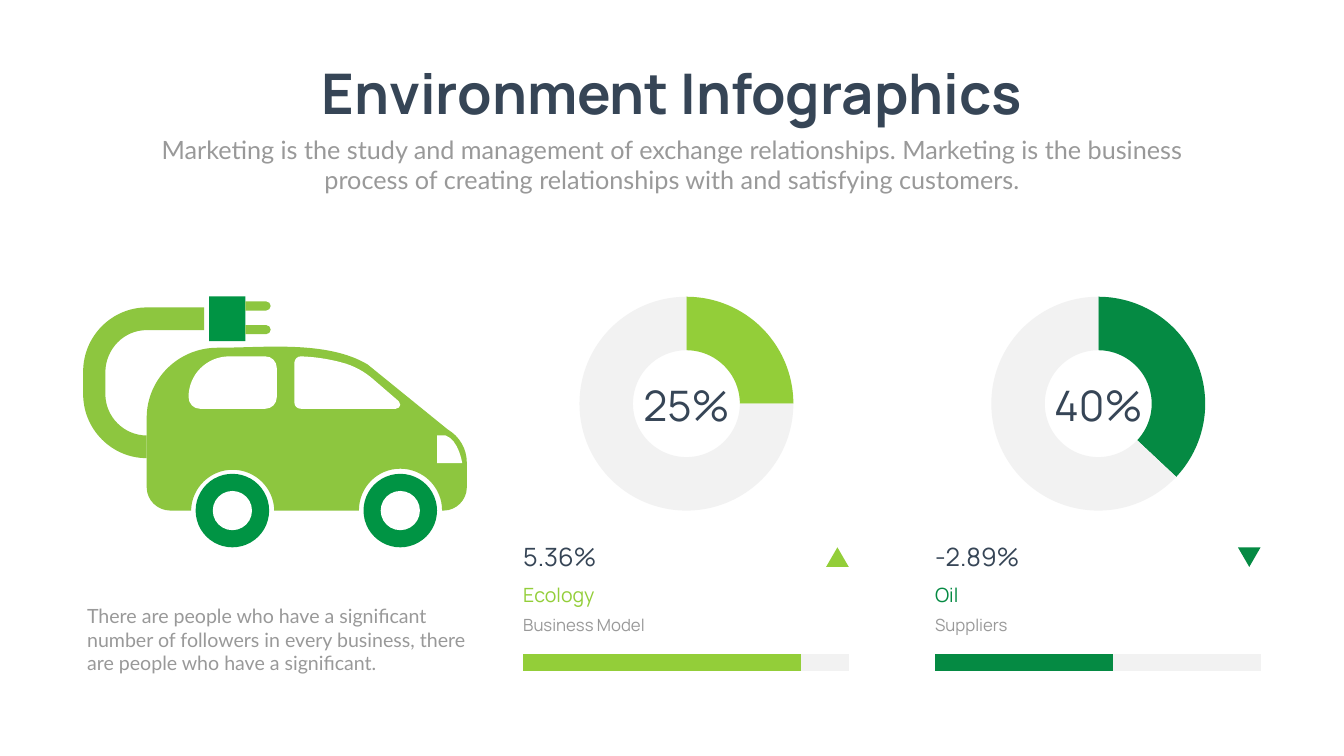
from lxml import etree
from pptx import Presentation
from pptx.chart.data import CategoryChartData
from pptx.dml.color import RGBColor
from pptx.enum.chart import XL_CHART_TYPE as ChartType
from pptx.enum.shapes import MSO_CONNECTOR, MSO_SHAPE as Shape
from pptx.enum.text import MSO_ANCHOR, MSO_AUTO_SIZE, PP_ALIGN as Align
from pptx.oxml.ns import qn
from pptx.util import Pt

NAVY = RGBColor(0x36, 0x45, 0x56)
GREY = RGBColor(0x99, 0x99, 0x99)
TRACK = RGBColor(0xF2, 0xF2, 0xF2)
WHITE = RGBColor(0xFF, 0xFF, 0xFF)
LIME = RGBColor(0x93, 0xCE, 0x39)
GREEN = RGBColor(0x05, 0x8A, 0x43)
CAR_LIME = RGBColor(0x8D, 0xC6, 0x3F)
CAR_GREEN = RGBColor(0x00, 0x94, 0x44)

# Outlines in points from the car's corner: a pair is a line end,
# three pairs are the controls and end of a Bezier curve.
CABLE = [
    (90.7, 231.1), (41, 231.1, 0, 190.1, 0, 139.7), (0, 107.3),
    (0, 56.9, 41, 15.8, 90.7, 15.8), (172.8, 15.8), (172.8, 48.2), (90.7, 48.2),
    (58.3, 48.2, 32.4, 74.9, 31.7, 107.3), (31.7, 139.7),
    (31.7, 172.1, 58.3, 198.7, 90.7, 198.7)]
BODY = [
    (520.6, 190.1), (406.1, 97.2), (347.8, 62.6, 259.2, 73.4, 191.5, 73.4),
    (136.1, 73.4, 90.7, 118.1, 90.7, 173.5), (90.7, 272.9),
    (90.7, 290.9, 105.8, 306, 124.6, 306), (154.1, 306),
    (154.8, 272.9, 182.2, 247, 214.6, 247.7),
    (246.2, 248.4, 272.2, 273.6, 272.9, 306), (393.8, 306),
    (393.8, 272.9, 419.8, 246.2, 452.9, 246.2),
    (486, 246.2, 512.6, 272.9, 512.6, 306), (514.8, 306),
    (532.8, 306, 547.9, 290.9, 547.9, 272.9), (547.9, 237.6),
    (547.9, 218.2, 537.8, 200.2, 520.6, 190.1)]
FRONT_WINDOW = [
    (450.7, 149.8), (414.7, 118.8), (401.8, 107.3, 385.9, 98.6, 368.6, 94.3),
    (349.9, 89.3, 330.5, 86.4, 311, 85.7), (306, 85.7, 302.4, 89.3, 301.7, 94.3),
    (301.7, 151.9), (301.7, 157, 306, 160.6, 311, 160.6), (446.4, 160.6),
    (450, 160.6, 452.9, 157.7, 452.9, 154.8),
    (452.9, 152.6, 452.2, 151.2, 450.7, 149.8)]
REAR_WINDOW = [
    (167, 160.6), (259.9, 160.6), (269.3, 160.6, 276.5, 153.4, 276.5, 144),
    (276.5, 102.2), (276.5, 92.9, 269.3, 85.7, 259.9, 85.7), (208.8, 85.7),
    (176.4, 85.7, 150.5, 111.6, 150.5, 144),
    (150.5, 153.4, 157.7, 160.6, 167, 160.6)]
HEADLIGHT = [
    (505.4, 238.3), (541.4, 238.3), (541.4, 238.3, 536.4, 205.2, 517.7, 198.7),
    (505.4, 198.7)]
PRONG = [
    (0, 0), (29.5, 0), (33, 0, 36, 2.9, 36, 6.5), (36, 10.1, 33, 13, 29.5, 13), (0, 13)]


def paint(shape, color):
    shape.fill.solid()
    shape.fill.fore_color.rgb = color
    shape.line.fill.background()
    shape.shadow.inherit = False


def add_block(slide, kind, left, top, width, height, color):
    block = slide.shapes.add_shape(kind, Pt(left), Pt(top), Pt(width), Pt(height))
    paint(block, color)
    return block


def add_outline(slide, left, top, outline, color):
    ends = [(Pt(left + step[-2]), Pt(top + step[-1])) for step in outline]
    builder = slide.shapes.build_freeform(*ends[0])
    builder.add_line_segments(ends[1:], close=True)
    shape = builder.convert_to_shape()
    # Bend the sides that have control points
    min_x = min(step[-2] for step in outline)
    min_y = min(step[-1] for step in outline)
    sides = list(shape._element.iter(qn("a:lnTo")))
    for side, step in zip(sides, outline[1:]):
        if len(step) == 6:
            side.tag = qn("a:cubicBezTo")
            for i in (0, 2):
                control = etree.Element(qn("a:pt"), x=str(Pt(step[i] - min_x)),
                                        y=str(Pt(step[i + 1] - min_y)))
                side.insert(i // 2, control)
    paint(shape, color)


def fill_text(holder, text, font_name, size, color, align=Align.LEFT, spacing=None, bold=False):
    frame = holder.text_frame
    frame.word_wrap = True
    frame.auto_size = MSO_AUTO_SIZE.NONE
    frame.vertical_anchor = MSO_ANCHOR.TOP
    frame.text = text
    paragraph = frame.paragraphs[0]
    paragraph.alignment = align
    if spacing:
        paragraph.line_spacing = Pt(spacing)
    font = paragraph.runs[0].font
    font.name, font.size, font.bold = font_name, Pt(size), bold
    font.color.rgb = color


def add_label(slide, left, top, width, height, *style, **options):
    label = slide.shapes.add_textbox(Pt(left), Pt(top), Pt(width), Pt(height))
    fill_text(label, *style, **options)


def add_bar(slide, left, y, length, color):
    bar = slide.shapes.add_connector(
        MSO_CONNECTOR.STRAIGHT, Pt(left), Pt(y), Pt(left + length), Pt(y))
    bar.line.width = Pt(25)
    bar.line.color.rgb = color
    etree.SubElement(bar._element.spPr, qn("a:effectLst"))


def add_header(slide, left, top, width):
    title = slide.shapes.title
    title.left, title.top, title.width, title.height = (
        Pt(left + 200), Pt(top), Pt(width - 400), Pt(104.4))
    fill_text(title, "Environment Infographics", "Manrope", 80, NAVY, Align.CENTER, bold=True)
    add_label(slide, left, top + 107.3, width, 94.3,
              "Marketing is the study and management of exchange relationships. Marketing is "
              "the business process of creating relationships with and satisfying customers.",
              "Lato", 36, GREY, Align.CENTER)


def add_car(slide, left, top):
    # Body, windows and headlight
    for outline, color in ((CABLE, CAR_LIME), (BODY, CAR_LIME), (FRONT_WINDOW, WHITE),
                           (REAR_WINDOW, WHITE), (HEADLIGHT, WHITE)):
        add_outline(slide, left, top, outline, color)
    # Wheels
    for center in (213.1, 452.9):
        for diameter, color in ((105, CAR_GREEN), (56, WHITE)):
            add_block(slide, Shape.OVAL, left + center - diameter / 2,
                      top + 306 - diameter / 2, diameter, diameter, color)
    # Plug
    add_block(slide, Shape.RECTANGLE, left + 180, top, 51.8, 64, CAR_GREEN)
    for prong_top in (7.2, 41):
        add_outline(slide, left + 231.8, top + prong_top, PRONG, CAR_LIME)
    # Caption
    add_label(slide, left - 1.5, top + 436.3, 594, 108.7,
              "There are people who have a significant number of followers in every business, "
              "there are people who have a significant.", "Lato", 28, GREY)


def add_ring(slide, left, top, width, height, values, color):
    data = CategoryChartData()
    data.categories = ["1", "2"]
    data.add_series("Series 1", values)
    chart = slide.shapes.add_chart(
        ChartType.DOUGHNUT, Pt(left), Pt(top), Pt(width), Pt(height), data).chart
    chart.has_legend = chart.has_title = False
    chart.font.name, chart.font.size = "Calibri", Pt(10)
    chart.font.color.rgb = GREY
    plot = chart.plots[0]
    plot.vary_by_categories = False
    plot._element.find(qn("c:holeSize")).set("val", "80")
    for index, slice_color in enumerate((color, TRACK)):
        slice_format = plot.series[0].points[index].format
        slice_format.fill.solid()
        slice_format.fill.fore_color.rgb = slice_color
        slice_format.line.fill.background()


def add_metric(slide, left, top, width, color, values, share, change, name, detail, progress, rising):
    # Ring with its share
    add_ring(slide, left + 65.2, top, 335.5, 325.4, values, color)
    add_label(slide, left + 102.7, top + 125, 260.6, 80, share, "Manrope", 60, NAVY, Align.CENTER)
    # Figures
    text_left = left - 7.2
    add_label(slide, text_left, top + 356.4, 147, 51, change, "Manrope", 36, NAVY)
    add_label(slide, text_left, top + 408.2, 211, 47, name, "Manrope", 28, color, spacing=40.8)
    add_label(slide, text_left, top + 448.6, 211, 45, detail, "Manrope", 24, GREY, spacing=40.8)
    # Trend marker
    trend = add_block(slide, Shape.ISOSCELES_TRIANGLE, left + width - 32.4, top + 367.9,
                      32.4, 28, color)
    trend.rotation = 0 if rising else 180
    # Progress bar
    add_bar(slide, left, top + 532.3, width, TRACK)
    add_bar(slide, left, top + 532.3, width * progress, color)


def main():
    deck = Presentation()
    deck.slide_width, deck.slide_height = Pt(1919.52), Pt(1080)
    slide = deck.slides.add_slide(deck.slide_layouts[5])
    add_header(slide, 210.2, 80.6, 1499)
    add_car(slide, 118.8, 423.4)
    metrics = (
        (LIME, (25, 75), "25%", "5.36%", "Ecology", "Business Model", 0.854, True),
        (GREEN, (37, 63), "40%", "-2.89%", "Oil", "Suppliers", 0.545, False))
    for column, metric in enumerate(metrics):
        add_metric(slide, 747.4 + column * 588.2, 414, 464.8, *metric)
    deck.save("out.pptx")


if __name__ == "__main__":
    main()
